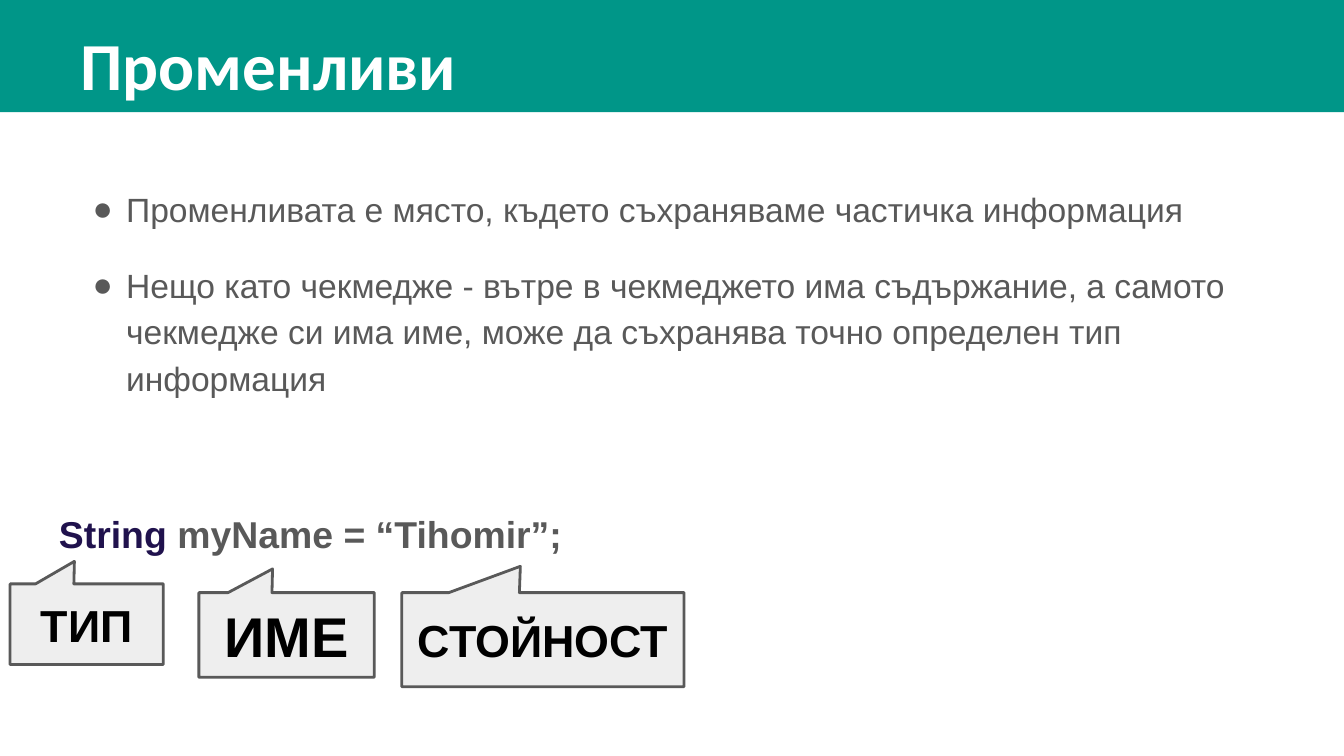
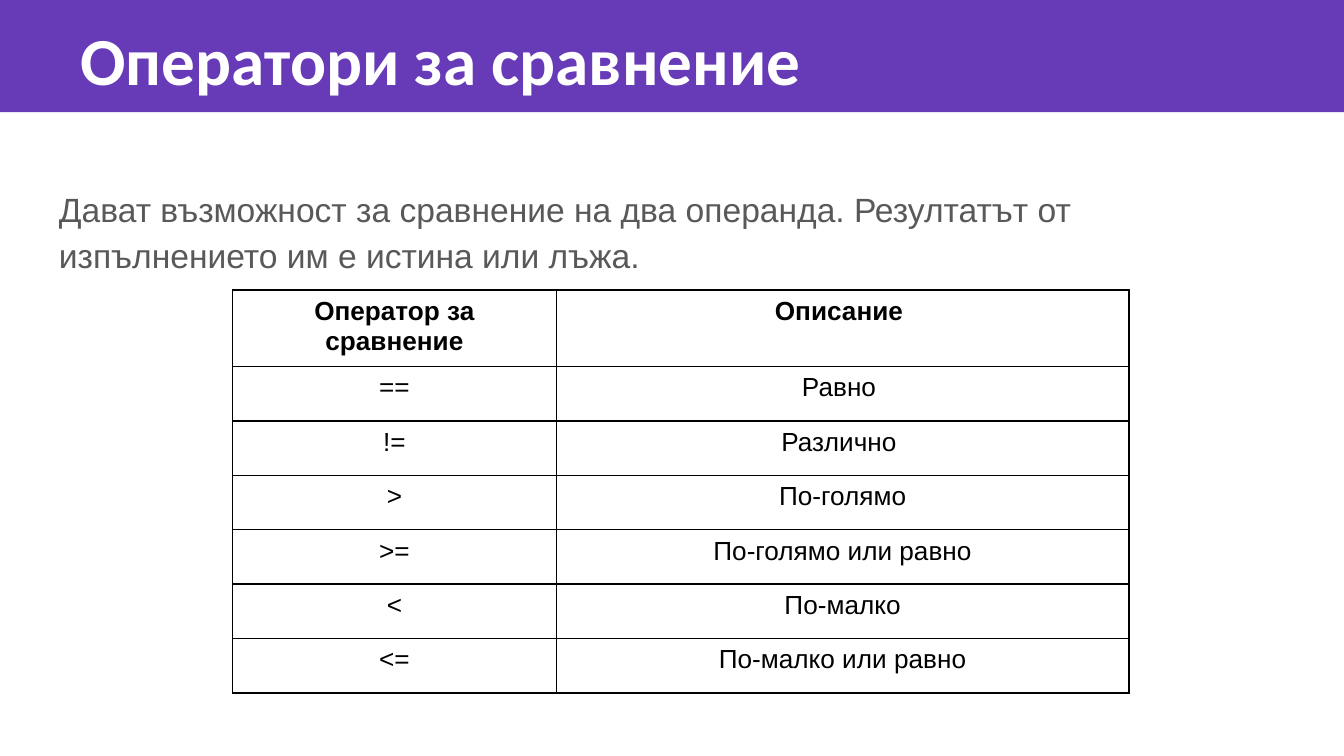
from dataclasses import dataclass

from lxml.etree import SubElement
from pptx import Presentation
from pptx.dml.color import RGBColor
from pptx.enum.shapes import MSO_SHAPE
from pptx.enum.text import MSO_ANCHOR, PP_ALIGN
from pptx.oxml.ns import qn
from pptx.slide import Slide
from pptx.table import _Cell
from pptx.text.text import TextFrame, _Paragraph
from pptx.util import Emu, Pt

COLORS = {
    "teal": "009688",
    "purple": "673AB7",
    "gray": "595959",
    "navy": "20124D",
    "callout": "EEEEEE",
    "black": "000000",
    "white": "FFFFFF",
}
EMU_PER_PX = 4572
SLIDE_WIDTH, SLIDE_HEIGHT = 2000, 1125
BAND_HEIGHT = 167
TITLE_WIDTH, TITLE_HEIGHT = 1488, 154
BODY_LEFT, BODY_TOP, BODY_WIDTH = 68, 252, 1864
INSET = 20
INDENT, HANGING = 100, 50
COLUMN_WIDTHS = (482, 852)
ROW_HEIGHT = 81


@dataclass(frozen=True)
class Box:
    """A rectangle in px."""

    left: int
    top: int
    width: int
    height: int

    def emu(self) -> tuple[Emu, Emu, Emu, Emu]:
        """Return the rectangle in EMU."""
        return px(self.left), px(self.top), px(self.width), px(self.height)


@dataclass(frozen=True)
class Callout:
    """A label pointing at a part of the declaration."""

    text: str
    box: Box
    size: int = 24


BULLETS = (
    "Променливата е място, където съхраняваме частичка информация",
    "Нещо като чекмедже - вътре в чекмеджето има съдържание, а самото чекмедже "
    "си има име, може да съхранява точно определен тип информация",
)
CALLOUTS = (
    Callout("ТИП", Box(15, 869, 228, 120)),
    Callout("ИМЕ", Box(296, 882, 261, 126), size=30),
    Callout("СТОЙНОСТ", Box(598, 882, 420, 140)),
)
OPERATORS = (
    ("Оператор за сравнение", "Описание "),
    ("==", "Равно "),
    ("!=", "Различно "),
    (">", "По-голямо"),
    (">=", "По-голямо или равно"),
    ("<", "По-малко"),
    ("<=", "По-малко или равно"),
)


def px(length: int) -> Emu:
    """Convert px to EMU at 200 px to the inch."""
    return Emu(length * EMU_PER_PX)


def rgb(color: str) -> RGBColor:
    """Look up a named colour."""
    return RGBColor.from_string(COLORS[color])


def add_text(paragraph: _Paragraph, text: str, *, size: int = 18, color: str = "gray",
             bold: bool = False, font: str = "Arial") -> None:
    """Append a formatted run to a paragraph."""
    run = paragraph.add_run()
    run.text = text
    run.font.name = font
    run.font.size = Pt(size)
    run.font.bold = bold
    run.font.color.rgb = rgb(color)


def set_insets(frame: TextFrame) -> None:
    """Wrap the text and give it equal insets."""
    frame.word_wrap = True
    frame.margin_left = frame.margin_right = px(INSET)
    frame.margin_top = frame.margin_bottom = px(INSET)


def add_text_box(slide: Slide, box: Box) -> TextFrame:
    """Add an empty wrapping text box."""
    frame = slide.shapes.add_textbox(*box.emu()).text_frame
    set_insets(frame)
    return frame


def set_indent(paragraph: _Paragraph, left: int, first: int = 0) -> None:
    """Indent a paragraph and its first line."""
    properties = paragraph._p.get_or_add_pPr()
    properties.set("marL", str(px(left)))
    properties.set("indent", str(px(first)))


def add_bullet(paragraph: _Paragraph) -> None:
    """Give a paragraph a hanging round bullet."""
    set_indent(paragraph, INDENT, -HANGING)
    properties = paragraph._p.get_or_add_pPr()
    bullet_color = SubElement(properties, qn("a:buClr"))
    SubElement(bullet_color, qn("a:srgbClr"), val=COLORS["gray"])
    SubElement(properties, qn("a:buFont"), typeface="Arial")
    SubElement(properties, qn("a:buChar"), char="●")


def space_body(paragraph: _Paragraph) -> None:
    """Apply the body line and paragraph spacing."""
    paragraph.line_spacing = 1.15
    paragraph.space_after = Pt(16)


def add_header(slide: Slide, title: str, color: str, top: int) -> None:
    """Draw the title band and its title."""
    band = slide.shapes.add_shape(
        MSO_SHAPE.RECTANGLE, *Box(0, 0, SLIDE_WIDTH, BAND_HEIGHT).emu())
    band.shadow.inherit = False
    band.fill.solid()
    band.fill.fore_color.rgb = rgb(color)
    band.line.fill.background()
    paragraph = add_text_box(slide, Box(0, top, TITLE_WIDTH, TITLE_HEIGHT)).paragraphs[0]
    set_indent(paragraph, INDENT)
    add_text(paragraph, title, size=36, color="white", bold=True, font="Calibri")


def add_callout(slide: Slide, callout: Callout) -> None:
    """Draw one square-cornered callout."""
    shape = slide.shapes.add_shape(
        MSO_SHAPE.ROUNDED_RECTANGULAR_CALLOUT, *callout.box.emu())
    for index, value in enumerate((-0.08, -0.78, 0)):
        shape.adjustments[index] = value
    shape.shadow.inherit = False
    shape.fill.solid()
    shape.fill.fore_color.rgb = rgb("callout")
    shape.line.color.rgb = rgb("gray")
    shape.line.width = Pt(1.5)
    set_insets(shape.text_frame)
    shape.text_frame.vertical_anchor = MSO_ANCHOR.MIDDLE
    paragraph = shape.text_frame.paragraphs[0]
    paragraph.alignment = PP_ALIGN.CENTER
    add_text(paragraph, callout.text, size=callout.size, color="black", bold=True)


def set_borders(cell: _Cell) -> None:
    """Draw a black line on each side of a cell."""
    properties = cell._tc.get_or_add_tcPr()
    for side in ("a:lnL", "a:lnR", "a:lnT", "a:lnB"):
        line = SubElement(properties, qn(side), w=str(Pt(1)))
        fill = SubElement(line, qn("a:solidFill"))
        SubElement(fill, qn("a:srgbClr"), val=COLORS["black"])


def add_operator_table(slide: Slide, left: int, top: int) -> None:
    """Draw the table of comparison operators."""
    box = Box(left, top, sum(COLUMN_WIDTHS), ROW_HEIGHT * len(OPERATORS))
    table = slide.shapes.add_table(len(OPERATORS), len(COLUMN_WIDTHS), *box.emu()).table
    table.first_row = table.horz_banding = False
    for column, width in zip(table.columns, COLUMN_WIDTHS):
        column.width = px(width)
    for row_index, texts in enumerate(OPERATORS):
        table.rows[row_index].height = px(ROW_HEIGHT)
        for column_index, text in enumerate(texts):
            cell = table.cell(row_index, column_index)
            set_borders(cell)
            cell.fill.background()
            paragraph = cell.text_frame.paragraphs[0]
            paragraph.alignment = PP_ALIGN.CENTER
            add_text(paragraph, text, size=14, color="black", bold=row_index == 0)


def build_variables(slide: Slide) -> None:
    """Build the slide about variables."""
    frame = add_text_box(slide, Box(BODY_LEFT, BODY_TOP, BODY_WIDTH, 844))
    for index, text in enumerate(BULLETS):
        paragraph = frame.add_paragraph() if index else frame.paragraphs[0]
        space_body(paragraph)
        add_bullet(paragraph)
        add_text(paragraph, text)
    declaration = frame.add_paragraph()
    space_body(declaration)
    declaration.space_before = Pt(41)
    add_text(declaration, "String ", size=20, color="navy", bold=True)
    add_text(declaration, "myName = “Tihomir”;", size=20, bold=True)
    add_header(slide, "Променливи", "teal", top=14)
    for callout in CALLOUTS:
        add_callout(slide, callout)


def build_operators(slide: Slide) -> None:
    """Build the slide about comparison operators."""
    frame = add_text_box(slide, Box(BODY_LEFT, BODY_TOP, BODY_WIDTH, 748))
    paragraph = frame.paragraphs[0]
    space_body(paragraph)
    add_text(paragraph, "Дават възможност за сравнение на два операнда. "
                        "Резултатът от изпълнението им е истина или лъжа.")
    add_header(slide, "Оператори за сравнение", "purple", top=7)
    add_operator_table(slide, left=346, top=432)


def main() -> None:
    """Build and save the presentation."""
    presentation = Presentation()
    presentation.slide_width = px(SLIDE_WIDTH)
    presentation.slide_height = px(SLIDE_HEIGHT)
    for build in (build_variables, build_operators):
        build(presentation.slides.add_slide(presentation.slide_layouts[6]))
    presentation.save("out.pptx")


if __name__ == "__main__":
    main()
